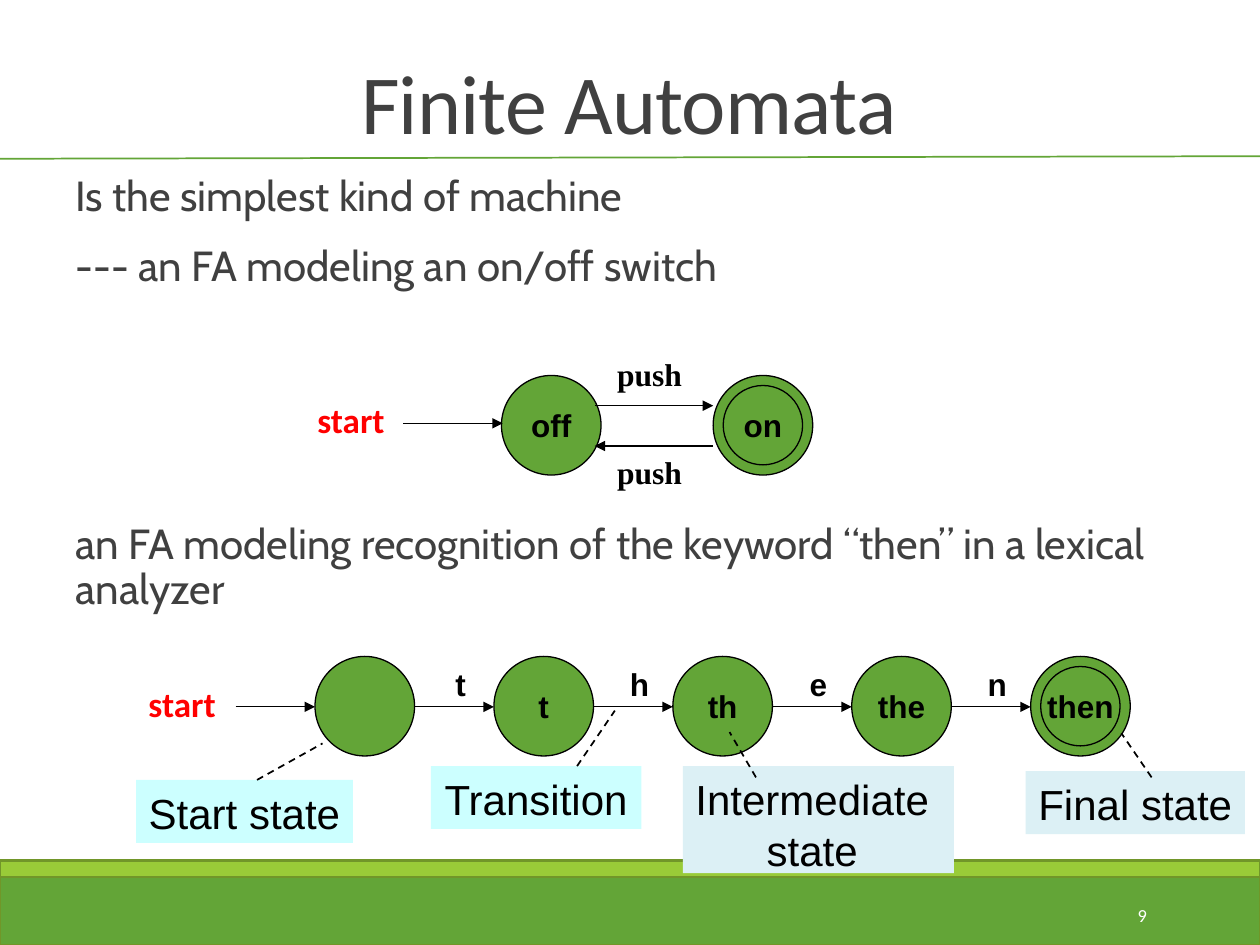
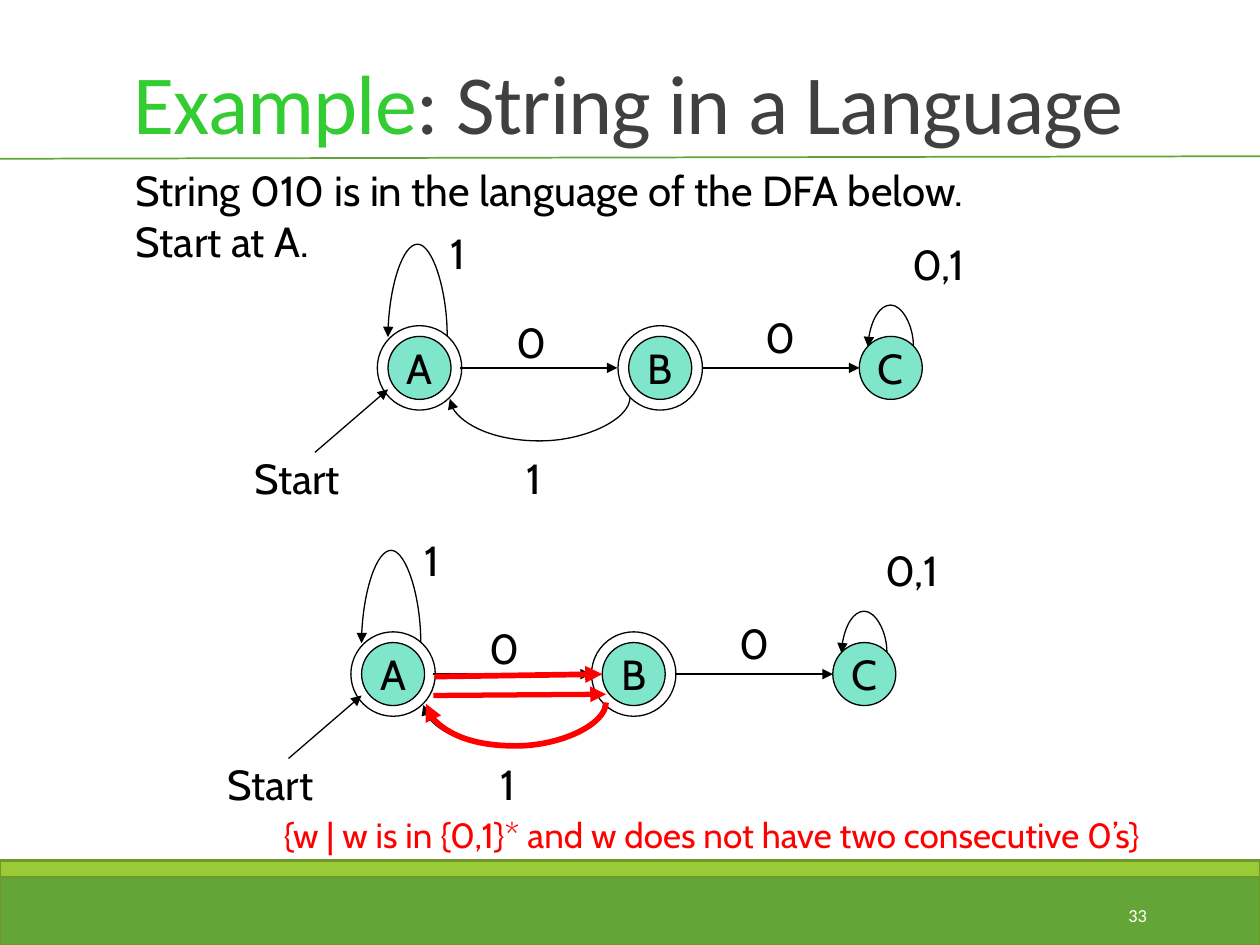
import lxml.etree
import pptx
import pptx.dml.color
import pptx.enum.dml
import pptx.enum.shapes
import pptx.enum.text
import pptx.oxml.ns
import pptx.util

Inches = pptx.util.Inches
Pt = pptx.util.Pt
RGBColor = pptx.dml.color.RGBColor
qn = pptx.oxml.ns.qn
RECTANGLE = pptx.enum.shapes.MSO_SHAPE.RECTANGLE
OVAL = pptx.enum.shapes.MSO_SHAPE.OVAL
CONNECTOR = pptx.enum.shapes.MSO_CONNECTOR
ALIGN = pptx.enum.text.PP_ALIGN
ANCHOR = pptx.enum.text.MSO_ANCHOR

# Colours
BLACK = RGBColor(0x00, 0x00, 0x00)
WHITE = RGBColor(0xFF, 0xFF, 0xFF)
RED = RGBColor(0xFF, 0x00, 0x00)
GREY = RGBColor(0x40, 0x40, 0x40)
GREEN = RGBColor(0x63, 0xA5, 0x37)
LIME = RGBColor(0x99, 0xCB, 0x38)
OLIVE = RGBColor(0x71, 0x96, 0x29)
BRIGHT_GREEN = RGBColor(0x33, 0xCC, 0x33)
TEAL = RGBColor(0x00, 0xCC, 0x99)
CYAN = RGBColor(0xCC, 0xFF, 0xFF)
PALE_BLUE = RGBColor(0xDC, 0xF0, 0xF5)

# Text formats
TITLE_FONT = {"name": "Calibri", "size": Pt(48)}
BODY_FONT = {"name": "Cabin", "size": Pt(24)}
RESULT_FONT = {"name": "Cabin", "size": Pt(20)}
NUMBER_FONT = {"name": "Calibri", "size": Pt(10.5)}
STATE_FONT = {"name": "Arial", "size": Pt(18), "bold": True}
START_FONT = {"name": "Calibri", "size": Pt(20), "bold": True}
PUSH_FONT = {"name": "Times New Roman", "size": Pt(18), "bold": True}
CALLOUT_FONT = {"name": "Arial", "size": Pt(24)}
CENTERED = {"alignment": ALIGN.CENTER}
NO_MARGINS = {"margin_left": 0, "margin_right": 0, "margin_top": 0, "margin_bottom": 0}
MIDDLE = {**NO_MARGINS, "vertical_anchor": ANCHOR.MIDDLE}
UNPLACED = (0, 0, 0, 0)


def style(shape, box, paragraphs=(), font={}, layout={}, frame={},
          fill=None, outline=None, outline_width=0.75):
    """Place and paint a shape; each paragraph maps its run texts to colours."""
    for name, value in zip(("left", "top", "width", "height"), box):
        setattr(shape, name, Inches(value))
    shape.shadow.inherit = False
    for part, color in ((shape.fill, fill), (shape.line.fill, outline)):
        if color is None:
            part.background()
        else:
            part.solid()
            part.fore_color.rgb = color
    if outline is not None:
        shape.line.width = Pt(outline_width)
    text_frame = shape.text_frame
    frame = {"auto_size": pptx.enum.text.MSO_AUTO_SIZE.NONE, "word_wrap": False, **frame}
    for name, value in frame.items():
        setattr(text_frame, name, value)
    for index, runs in enumerate(paragraphs):
        paragraph = text_frame.add_paragraph() if index else text_frame.paragraphs[0]
        for name, value in {"alignment": ALIGN.LEFT, **layout}.items():
            setattr(paragraph, name, value)
        for text, color in runs.items():
            run = paragraph.add_run()
            run.text = text
            run.font.color.rgb = color
            for name, value in font.items():
                setattr(run.font, name, value)
    return shape


def add_line(slide, start, end, color=BLACK, width=0.75, arrow=True, dashed=False, bend=0):
    """Draw a line; a bend makes a leftward arc, upward if negative."""
    if bend:
        thickness, span = 0.01, start[0] - end[0]
        left = (start[0] + end[0] - thickness) / 2
        top = start[1] - span / 2
        kind, ends = CONNECTOR.CURVE, (left, top, left + thickness, top + span)
    else:
        kind, ends = CONNECTOR.STRAIGHT, (*start, *end)
    line = slide.shapes.add_connector(kind, *map(Inches, ends))
    properties = line.element.spPr
    if bend:
        frame = properties.find(qn("a:xfrm"))
        frame.set("rot", str((270 if bend < 0 else 90) * 60000))
        if bend < 0:
            frame.set("flipH", "1")
            frame.set("flipV", "1")
        guides = properties.find(qn("a:prstGeom")).find(qn("a:avLst"))
        lxml.etree.SubElement(guides, qn("a:gd"), name="adj1",
                              fmla=f"val {round(bend / thickness * 100000)}")
    line.line.color.rgb = color
    line.line.width = Pt(width)
    if dashed:
        line.line.dash_style = pptx.enum.dml.MSO_LINE.DASH
    if arrow:
        lxml.etree.SubElement(properties.find(qn("a:ln")), qn("a:tailEnd"), type="triangle")
    lxml.etree.SubElement(properties, qn("a:effectLst"))
    return line


presentation = pptx.Presentation()
presentation.slide_width, presentation.slide_height = Inches(10), Inches(7.5)
automata_slide = presentation.slides.add_slide(presentation.slide_layouts[1])
language_slide = presentation.slides.add_slide(presentation.slide_layouts[5])

# Bands and title rule, moved to the master so that both slides show them
master_parts = [
    style(automata_slide.shapes.add_shape(RECTANGLE, *UNPLACED), box,
          fill=color, outline=OLIVE, outline_width=1.25)
    for box, color in (((0, 6.92, 10, 0.58), GREEN), ((0, 6.83, 10, 0.13), LIME))
]
master_parts.append(add_line(automata_slide, (0, 1.26), (10, 1.24), GREEN, 1, arrow=False))
master_tree = presentation.slide_master.shapes.element
for index, part in enumerate(master_parts):
    part.element.find(".//" + qn("p:cNvPr")).set("id", str(101 + index))
    master_tree.insert(2 + index, part.element)

# Titles and slide numbers
for slide, title_runs, number in (
    (automata_slide, {"Finite Automata": GREY}, "9"),
    (language_slide, {"Example": BRIGHT_GREEN, ": String in a Language": GREY}, "33"),
):
    title = style(slide.shapes.title, (0.49, 0.25, 9, 1), [title_runs], TITLE_FONT,
                  {**CENTERED, "line_spacing": 0.85},
                  {"word_wrap": True, "vertical_anchor": ANCHOR.BOTTOM})
    for run in title.text_frame.paragraphs[0].runs:
        run.font._element.set("spc", "-50")
    style(slide.shapes.add_textbox(*UNPLACED), (8.12, 7.06, 1.08, 0.4), [{number: WHITE}],
          NUMBER_FONT, {"alignment": ALIGN.RIGHT}, {"vertical_anchor": ANCHOR.MIDDLE})

# Finite automata: statements, with room for the switch before the last one
body = style(
    automata_slide.placeholders[1], (0.5, 1.34, 9, 5.33),
    [{"Is the simplest kind of machine": GREY},
     {"--- an FA modeling an on/off switch": GREY},
     {"an FA modeling recognition of the keyword “then” in a lexical analyzer": GREY}],
    BODY_FONT, {"line_spacing": 0.9, "space_before": Pt(12), "space_after": Pt(2)},
    {"word_wrap": True, "margin_left": Inches(0.1), "margin_right": 0})
for paragraph in body.text_frame.paragraphs:
    paragraph_properties = paragraph._p.get_or_add_pPr()
    paragraph_properties.set("marL", "0")
    paragraph_properties.set("indent", "0")
    lxml.etree.SubElement(paragraph_properties, qn("a:buNone"))
body.text_frame.paragraphs[2].space_before = Pt(131)

# States of the switch and of the keyword recognizer
DIAMETER, INNER_DIAMETER = 0.79, 0.63
PITCH, FIRST_STATE, KEYWORD_TOP, KEYWORD_AXIS = 1.42, 2.5, 5.21, 5.61
states = [("off", 3.98, 2.98, False), ("on", 5.66, 2.98, True)]
for index, prefix in enumerate(("", "t", "th", "the", "then")):
    states.append((prefix, FIRST_STATE + PITCH * index, KEYWORD_TOP, prefix == "then"))
for name, left, top, accepting in states:
    style(automata_slide.shapes.add_shape(OVAL, *UNPLACED), (left, top, DIAMETER, DIAMETER),
          [{name: BLACK}] if name else [], STATE_FONT, CENTERED, MIDDLE, GREEN, BLACK)
    if accepting:
        inset = (DIAMETER - INNER_DIAMETER) / 2
        style(automata_slide.shapes.add_shape(OVAL, *UNPLACED),
              (left + inset, top + inset, INNER_DIAMETER, INNER_DIAMETER), outline=BLACK)

# Arrows and their labels
for start, end in (((3.2, 3.36), (3.99, 3.36)), ((4.72, 3.22), (5.66, 3.22)),
                   ((5.66, 3.54), (4.72, 3.54)),
                   ((1.87, KEYWORD_AXIS), (FIRST_STATE, KEYWORD_AXIS))):
    add_line(automata_slide, start, end)
for text, color, font, left, top in (
    ("start", RED, START_FONT, 2.42, 3.11), ("start", RED, START_FONT, 1.08, 5.37),
    ("push", BLACK, PUSH_FONT, 4.8, 2.77), ("push", BLACK, PUSH_FONT, 4.8, 3.55),
):
    style(automata_slide.shapes.add_textbox(*UNPLACED), (left, top, 0.75, 0.4),
          [{text: color}], font)
for index, letter in enumerate("then"):
    left = FIRST_STATE + PITCH * index + DIAMETER
    gap = PITCH - DIAMETER
    add_line(automata_slide, (left, KEYWORD_AXIS), (left + gap, KEYWORD_AXIS))
    style(automata_slide.shapes.add_textbox(*UNPLACED), (left + 0.05, 5.23, gap, 0.4),
          [{letter: BLACK}], STATE_FONT, CENTERED)

# Callouts with dashed pointers
for text, color, box, start, end in (
    ("Start state", CYAN, (1.08, 6.19, 1.72, 0.5), (2.04, 6.19), (2.56, 5.9)),
    ("Final state", PALE_BLUE, (8.14, 6.12, 1.74, 0.5), (9.14, 6.17), (8.9, 5.82)),
    ("Transition", CYAN, (3.42, 6.08, 1.67, 0.5), (4.58, 6.08), (4.88, 5.64)),
    ("Intermediate state", PALE_BLUE, (5.42, 6.08, 2.15, 0.85), (6, 6.17), (5.79, 5.81)),
):
    style(automata_slide.shapes.add_shape(RECTANGLE, *UNPLACED), box, [{text: BLACK}],
          CALLOUT_FONT, CENTERED,
          {**NO_MARGINS, "margin_top": Inches(0.06), "margin_right": Inches(0.1 if box[3] > 0.5 else 0),
           "vertical_anchor": ANCHOR.TOP, "word_wrap": True}, color)
    add_line(automata_slide, start, end, width=1, arrow=False, dashed=True)

# String in a language: introduction and result
style(language_slide.shapes.add_textbox(*UNPLACED), (0.98, 1.26, 7.22, 0.91),
      [{"String 010 is in the language of the DFA below.": BLACK}, {"Start at A.": BLACK}],
      BODY_FONT)
style(language_slide.shapes.add_textbox(*UNPLACED), (1.3, 6.41, 8.7, 0.44),
      [{"{w | w is in {0,1}* and w does not have two consecutive 0’s}": RED}],
      RESULT_FONT, CENTERED)

# The same DFA twice
for x, y in ((0, 0), (-0.21, 2.43)):
    for text, left, top, width in (
        ("Start", 1.92, 3.54, 0.9), ("0", 4, 2.46, 0.38), ("1", 4.08, 3.54, 0.38),
        ("0", 5.98, 2.42, 0.38), ("1", 3.48, 1.76, 0.38), ("0,1", 7.14, 1.84, 0.67),
    ):
        style(language_slide.shapes.add_textbox(*UNPLACED), (left + x, top + y, width, 0.5),
              [{text: BLACK}], BODY_FONT)
    for start, end, bend in (
        ((3.55, 2.67), (3.08, 2.67), -0.74), ((5, 3.16), (3.57, 3.16), 0.35),
        ((7.25, 2.75), (6.89, 2.75), -0.33), ((2.5, 3.59), (3.08, 3.09), 0),
        ((3.65, 2.92), (4.9, 2.92), 0), ((5.57, 2.92), (6.82, 2.92), 0),
    ):
        add_line(language_slide, (start[0] + x, start[1] + y), (end[0] + x, end[1] + y), bend=bend)
    for name, left, accepting in (("A", 3.08, True), ("B", 4.99, True), ("C", 6.82, False)):
        state = style(language_slide.shapes.add_shape(OVAL, *UNPLACED),
                      (left + x, 2.67 + y, 0.5, 0.5), [{name: BLACK}], BODY_FONT,
                      CENTERED, MIDDLE, TEAL, BLACK)
        fill_color = state.element.spPr.find(qn("a:solidFill")).find(qn("a:srgbClr"))
        lxml.etree.SubElement(fill_color, qn("a:alpha"), val="50000")
        if accepting:
            style(language_slide.shapes.add_shape(OVAL, *UNPLACED),
                  (left - 0.085 + x, 2.585 + y, 0.67, 0.67), outline=BLACK)

# Steps taken by the string, in red on the lower DFA
for start, end, width, bend in (
    ((3.45, 5.37), (4.78, 5.35), 3.25, 0), ((4.81, 5.58), (3.38, 5.58), 3.25, 0.35),
    ((3.44, 5.52), (4.81, 5.51), 3, 0),
):
    add_line(language_slide, start, end, RED, width, bend=bend)

presentation.save("out.pptx")
